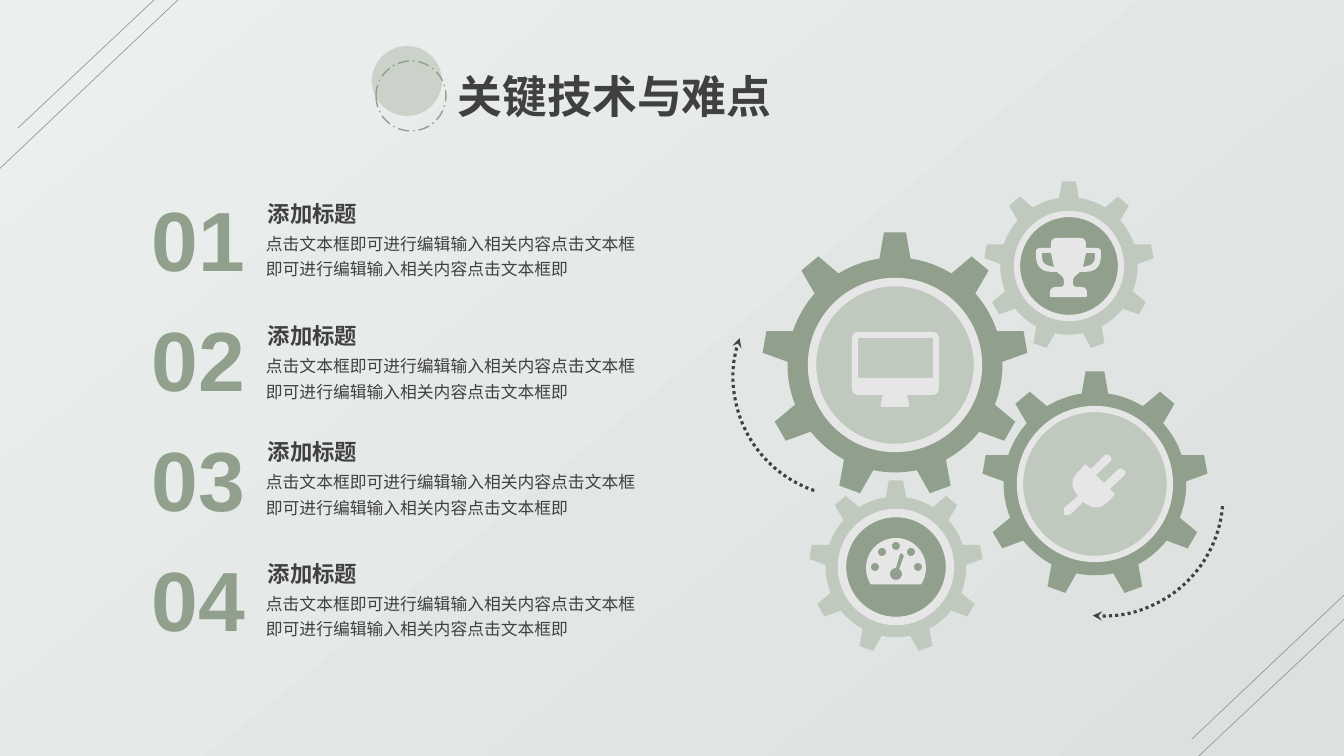
"""Build a slide of four key points beside a set of meshed gears."""
from dataclasses import dataclass
from math import cos, dist, radians, sin

from lxml.etree import SubElement
from pptx import Presentation
from pptx.dml.color import RGBColor
from pptx.enum.dml import MSO_LINE
from pptx.enum.shapes import MSO_CONNECTOR, MSO_SHAPE
from pptx.enum.text import MSO_ANCHOR, PP_ALIGN
from pptx.oxml.ns import qn
from pptx.util import Pt


@dataclass(frozen=True)
class Theme:
    """Colours, fonts and type sizes."""
    ink: str = "404040"
    dark: str = "90A08D"
    light: str = "C0C9BE"
    pale: str = "E6E6E6"
    arrow: str = "41413F"
    back: tuple = ("EBF0EF", "DCE0DE")
    hans: str = "Noto Sans CJK SC"
    sans: str = "Arial"
    title: int = 32
    digit: int = 60
    head: int = 16
    body: int = 12


THEME = Theme()
PX = 12700 * 5 / 7
WIDE, HIGH = 1344, 756

TITLE = "关键技术与难点"
BODY = "点击文本框即可进行编辑输入相关内容点击文本框即可进行编辑输入相关内容点击文本框即"
POINTS = [
    ("01", "添加标题", BODY, 195),
    ("02", "添加标题", BODY, 317),
    ("03", "添加标题", BODY, 433),
    ("04", "添加标题", BODY, 555),
]
LINES = [
    (181, -3, -6, 174),
    (206, -49, 18, 128),
    (1356, 608, 1168, 785),
    (1379, 562, 1192, 739),
]
GEARS = [
    (895, 365, 133, 83, THEME.dark, THEME.light, 6),
    (1095, 484, 113, 75, THEME.dark, THEME.light, 4.5),
    (896, 567, 87, 54, THEME.light, THEME.dark, 6),
    (1069, 266, 85, 52, THEME.light, THEME.dark, 4.5),
]
ARCS = [(853, 377, 120, 198.9), (1103, 496, 120, 94.9)]

SCREEN = [
    [(852, 332, 7), (939, 332, 7), (939, 395, 7), (907, 395, 0), (910, 407, 3),
     (880, 407, 3), (883, 395, 0), (852, 395, 7)],
    [(858, 338, 1), (933, 338, 1), (933, 378, 1), (858, 378, 1)],
]
CUP_MID = 1068.5
CUP_HALF = [(1086, 238, 6), (1086, 248, 0), (1101, 248, 4), (1101, 272, 16),
            (1080, 272, 0), (1073, 278, 3), (1073, 287, 4), (1087, 287, 6),
            (1087, 297, 1)]
CUP_HOLE = [(1086, 253, 0), (1095, 253, 0), (1095, 264, 7), (1083, 267, 0)]
PLUG = [
    [(1110, 489, 0), (1115, 494, 0), (1110, 500, 0), (1098, 511, 12),
     (1083, 502, 0), (1070, 515, 0), (1064, 515, 0), (1064, 508, 0),
     (1078, 496, 0), (1068, 482, 14), (1080, 470, 0), (1085, 464, 0),
     (1091, 469, 0), (1107, 453, 4), (1113, 459, 4), (1096, 475, 0),
     (1104, 483, 0), (1121, 467, 4), (1127, 473, 4)],
]
DIAL = (896, 568, 30)
DOTS = [(875, 567), (882, 552), (896, 546), (911, 552), (918, 567)]
KNOB = (896, 574, 6)
TIP = [(900, 554), (902, 553), (904, 556)]


def px(*nums):
    return [round(n * PX) for n in nums]


def rgb(code):
    return RGBColor.from_string(code)


def ring(x, y, r, start=0, end=360, steps=32):
    turns = [radians(start + (end - start) * i / steps) for i in range(steps + 1)]
    return [(x + r * cos(t), y + r * sin(t)) for t in turns]


def bend(points):
    path = []
    for i, (x, y, r) in enumerate(points):
        if not r:
            path.append((x, y))
            continue
        ends = []
        for near in (points[i - 1], points[(i + 1) % len(points)]):
            part = r / dist((x, y), near[:2])
            ends.append((x + (near[0] - x) * part, y + (near[1] - y) * part))
        for t in (0, .2, .4, .6, .8, 1):
            a, b, c = (1 - t) ** 2, 2 * t * (1 - t), t * t
            path.append((a * ends[0][0] + b * x + c * ends[1][0],
                         a * ends[0][1] + b * y + c * ends[1][1]))
    return path


def flip(points):
    return [(2 * CUP_MID - x, y, r) for x, y, r in reversed(points)]


def cog(x, y, r, teeth=9):
    path, step = [], 360 / teeth
    for i in range(teeth):
        turn = radians(i * step)
        for across, out in ((-.117, .8), (-.083, .996), (.083, .996), (.117, .8)):
            path.append((x + r * (across * cos(turn) + out * sin(turn)),
                         y + r * (across * sin(turn) - out * cos(turn))))
        mid = i * step - 90
        path += ring(x, y, r * .808, mid + 9, mid + step - 9, 8)
    return path


def paint(shape, fill=None, line=None, width=1, dash=None):
    shape.shadow.inherit = False
    if fill:
        shape.fill.solid()
        shape.fill.fore_color.rgb = rgb(fill)
    else:
        shape.fill.background()
    if line:
        shape.line.color.rgb = rgb(line)
        shape.line.width = Pt(width)
        if dash:
            shape.line.dash_style = dash
    else:
        shape.line.fill.background()
    return shape


def draw(shapes, paths, fill):
    pen = None
    for path in paths:
        spots = [tuple(px(*spot)) for spot in path]
        if pen is None:
            pen = shapes.build_freeform(*spots[0], scale=1.0)
        else:
            pen.move_to(*spots[0])
        pen.add_line_segments(spots[1:], close=True)
    paint(pen.convert_to_shape(), fill)


def disc(shapes, x, y, r, kind=MSO_SHAPE.OVAL):
    return shapes.add_shape(kind, *px(x - r, y - r, 2 * r, 2 * r))


def write(shapes, box, text, size, color, face, bold=False, align=None, space=None):
    frame = shapes.add_textbox(*px(*box)).text_frame
    frame.word_wrap = True
    para = frame.paragraphs[0]
    para.alignment = align
    para.line_spacing = space
    run = para.add_run()
    run.text = text
    font = run.font
    font.size, font.bold, font.name = Pt(size), bold, face
    font.color.rgb = rgb(color)
    SubElement(run._r.get_or_add_rPr(), qn("a:ea"), typeface=face)
    return frame


def main():
    deck = Presentation()
    deck.slide_width, deck.slide_height = px(WIDE, HIGH)
    slide = deck.slides.add_slide(deck.slide_layouts[6])
    shapes = slide.shapes
    back = slide.background.fill
    back.gradient()
    back.gradient_angle = 309
    for stop, code in zip(back.gradient_stops, THEME.back):
        stop.color.rgb = rgb(code)

    for ends in LINES:
        line = shapes.add_connector(MSO_CONNECTOR.STRAIGHT, *px(*ends))
        line.line.color.rgb = rgb(THEME.dark)
        line.line.width = Pt(.5)
        SubElement(line._element.spPr, qn("a:effectLst"))

    write(shapes, (448, 64, 499, 65), TITLE, THEME.title, THEME.ink, THEME.hans,
          True, PP_ALIGN.JUSTIFY)
    badge = shapes.add_group_shape().shapes
    spot = paint(disc(badge, 407, 81, 35), THEME.light)
    SubElement(spot._element.spPr.find(".//" + qn("a:srgbClr")), qn("a:alpha"), val="74000")
    paint(disc(badge, 411, 96, 35), None, THEME.dark, 1, MSO_LINE.LONG_DASH_DOT)

    for x, y, r, hub, rim, core, width in GEARS:
        draw(shapes, [cog(x, y, r)], rim)
        paint(disc(shapes, x, y, hub), core, THEME.pale, width)
    for x, y, r, turn in ARCS:
        arc = paint(disc(shapes, x, y, r, MSO_SHAPE.ARC), None, THEME.arrow, 2.25,
                    MSO_LINE.ROUND_DOT)
        arc.rotation = turn
        SubElement(arc._element.spPr.find(qn("a:ln")), qn("a:tailEnd"), type="stealth")

    cup = [CUP_HALF + flip(CUP_HALF), CUP_HOLE, flip(CUP_HOLE)]
    for icon in (SCREEN, cup, PLUG):
        draw(shapes, [bend(path) for path in icon], THEME.pale)
    gauge = [ring(*DIAL, 147, 393), *(ring(x, y, 4) for x, y in DOTS),
             ring(*KNOB, -57, 270) + TIP]
    draw(shapes, gauge, THEME.pale)

    for i, (digit, head, body, top) in enumerate(POINTS):
        frame = write(shapes, (151, 186 + 120 * i, 94, 102), digit, THEME.digit,
                      THEME.dark, THEME.sans, True, PP_ALIGN.CENTER)
        frame.word_wrap = False
        frame.vertical_anchor = MSO_ANCHOR.BOTTOM
        frame.margin_left = frame.margin_right = 0
        frame.margin_top = frame.margin_bottom = 0
        write(shapes, (256, top + 29, 398, 61), body, THEME.body, THEME.ink,
              THEME.hans, space=1.25)
        write(shapes, (258, top, 262, 37), head, THEME.head, THEME.ink, THEME.hans, True)
    deck.save("out.pptx")


if __name__ == "__main__":
    main()
